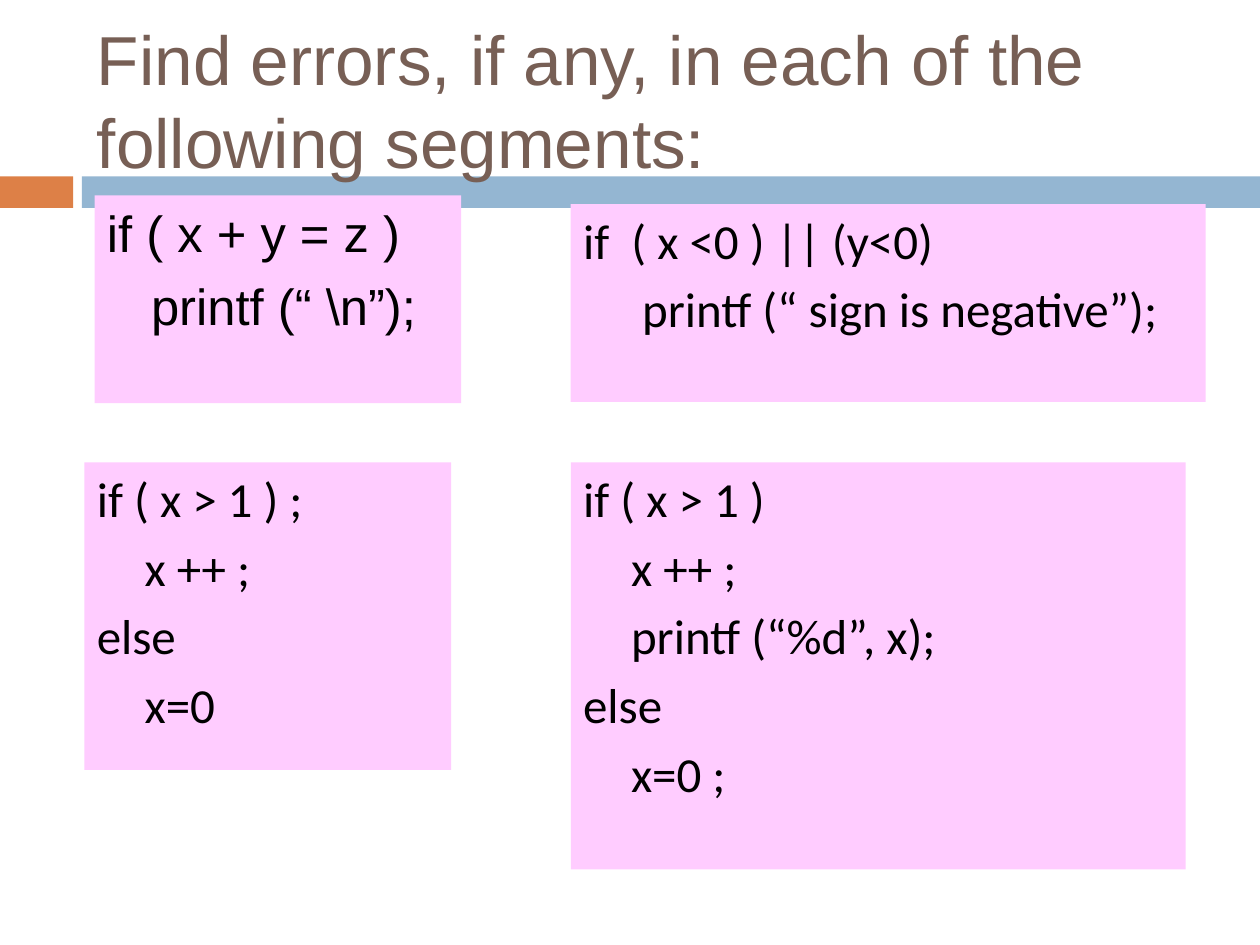
from pptx import Presentation
from pptx.dml.color import RGBColor
from pptx.enum.shapes import MSO_SHAPE
from pptx.enum.text import MSO_ANCHOR, PP_ALIGN
from pptx.util import Inches, Pt

RECT = MSO_SHAPE.RECTANGLE
TOP, MIDDLE = MSO_ANCHOR.TOP, MSO_ANCHOR.MIDDLE
LEFT = PP_ALIGN.LEFT

COLORS = {
    "orange": "DD8047",
    "blue": "94B6D2",
    "brown": "775F55",
    "pink": "FFCCFF",
    "black": "000000",
}

# Box, lines, font, size, space before, hanging indent
CODE = [
    ((0.75, 1.55, 2.91, 1.65),
     ["if ( x + y = z )", "\tprintf (“ \\n”);"],
     "Arial", 29, 7, 0.35),
    ((0.67, 3.67, 2.91, 2.44),
     ["if ( x > 1 ) ;", "\tx ++ ;", "else", "\tx=0"],
     "Calibri", 28, 5.6, 0.38),
    ((4.53, 1.62, 5.04, 1.57),
     ["if  ( x <0 ) || (y<0)", "\t printf (“ sign is negative”);"],
     "Calibri", 28, 5.6, 0.38),
    ((4.53, 3.67, 4.88, 3.23),
     ["if ( x > 1 )", "\tx ++ ;", "\tprintf (“%d”, x);", "else", "\tx=0 ;"],
     "Calibri", 28, 5.6, 0.38),
]


def color(name):
    return RGBColor.from_string(COLORS[name])


def add_rect(slide, box, fill):
    shape = slide.shapes.add_shape(RECT, *map(Inches, box))
    shape.shadow.inherit = False
    shape.fill.solid()
    shape.fill.fore_color.rgb = color(fill)
    shape.line.fill.background()
    return shape


def set_font(para, name, size, ink):
    para.alignment = LEFT
    para.font.name = name
    para.font.size = Pt(size)
    para.font.color.rgb = color(ink)


def add_band(slide, box, tab=0.58, gap=0.07):
    """Draw the short tab and the long bar that share one row."""
    left, top, width, height = box
    start = tab + gap
    add_rect(slide, (left, top, tab, height), "orange")
    add_rect(slide, (left + start, top, width - start, height), "blue")


def add_title(slide, box, text):
    frame = slide.shapes.add_textbox(*map(Inches, box)).text_frame
    frame.word_wrap = True
    frame.vertical_anchor = MIDDLE
    para = frame.paragraphs[0]
    para.text = text
    set_font(para, "Arial", 39.6, "brown")


def add_code(slide, box, lines, font, size, space, indent):
    frame = add_rect(slide, box, "pink").text_frame
    frame.word_wrap = True
    frame.vertical_anchor = TOP
    frame.text = "\n".join(lines)
    for para in frame.paragraphs:
        set_font(para, font, size, "black")
        para.space_before = Pt(space)
        props = para._p.get_or_add_pPr()
        props.set("marL", str(Inches(indent)))
        props.set("indent", str(-Inches(indent)))


def main():
    deck = Presentation()
    deck.slide_width, deck.slide_height = Inches(10), Inches(7.5)
    slide = deck.slides.add_slide(deck.slide_layouts[6])
    add_band(slide, (0, 1.4, 10, 0.25))
    add_title(slide, (0.67, 0.25, 8.92, 1.08),
              "Find errors, if any, in each of the following segments:")
    for item in CODE:
        add_code(slide, *item)
    deck.save("out.pptx")


if __name__ == "__main__":
    main()
